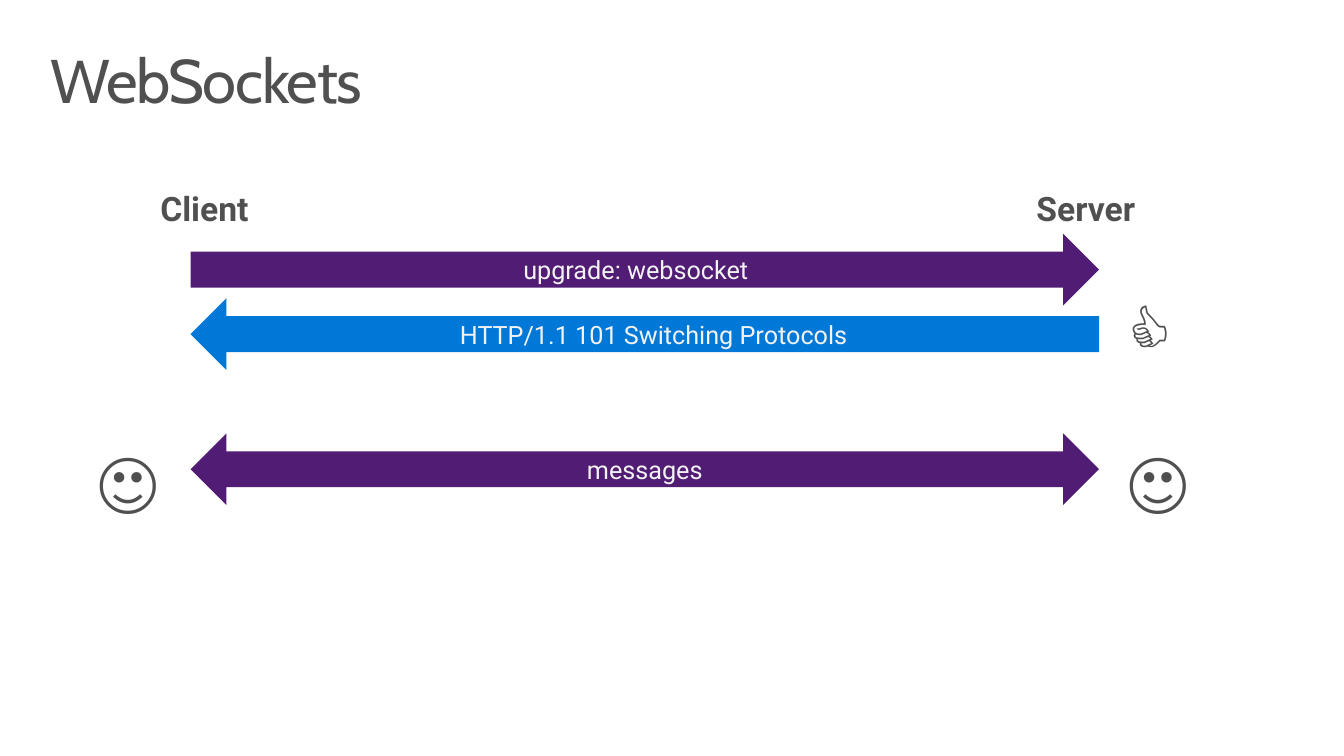
from pptx import Presentation
from pptx.dml.color import RGBColor
from pptx.enum.shapes import MSO_SHAPE
from pptx.enum.text import MSO_ANCHOR, MSO_AUTO_SIZE, PP_ALIGN
from pptx.util import Inches, Pt

COLORS = {
    "ink": "505050",
    "purple": "511C74",
    "blue": "0078D7",
    "pale": "F2F2F2",
}


def paint(name):
    return RGBColor.from_string(COLORS[name])


def add_run(para, text, size, color, font="Roboto", bold=False):
    run = para.add_run()
    run.text = text
    run.font.name = font
    run.font.size = Pt(size)
    run.font.bold = bold
    run.font.color.rgb = paint(color)
    return run


def add_box(slide, left, top, width, height, wrap=False, grow=True):
    box = slide.shapes.add_textbox(
        Inches(left), Inches(top), Inches(width), Inches(height))
    frame = box.text_frame
    frame.margin_left = frame.margin_right = 0
    frame.margin_top = frame.margin_bottom = 0
    frame.word_wrap = wrap
    frame.auto_size = (
        MSO_AUTO_SIZE.SHAPE_TO_FIT_TEXT if grow else MSO_AUTO_SIZE.NONE)
    return frame.paragraphs[0]


def add_title(slide, text):
    para = add_box(slide, 0.5, 0.5, 12.33, 0.69, wrap=True, grow=False)
    para.line_spacing = 0.9
    run = add_run(para, text, 44, "ink", font="Cabin")
    run.font._element.set("spc", "-100")


def add_label(slide, text, left, width):
    para = add_box(slide, left, 1.86, width, 0.4)
    add_run(para, text, 24, "ink", bold=True)


def add_emoji(slide, text, left, top):
    para = add_box(slide, left, top, 0.67, 0.81)
    add_run(para, text, 48, "ink")


def add_arrow(slide, kind, text, top, color):
    arrow = slide.shapes.add_shape(
        kind, Inches(1.89), Inches(top), Inches(9.01), Inches(0.71))
    arrow.shadow.inherit = False
    arrow.fill.solid()
    arrow.fill.fore_color.rgb = paint(color)
    arrow.line.fill.background()
    frame = arrow.text_frame
    frame.word_wrap = True
    frame.vertical_anchor = MSO_ANCHOR.MIDDLE
    para = frame.paragraphs[0]
    para.alignment = PP_ALIGN.CENTER
    add_run(para, text, 18, "pale")


def main():
    deck = Presentation()
    deck.slide_width = Inches(13.33)
    deck.slide_height = Inches(7.5)
    slide = deck.slides.add_slide(deck.slide_layouts[6])

    add_title(slide, "WebSockets")
    add_label(slide, "Client", 1.59, 0.92)
    add_label(slide, "Server", 10.28, 1.01)

    for kind, text, top, color in (
        (MSO_SHAPE.RIGHT_ARROW, "upgrade: websocket", 2.32, "purple"),
        (MSO_SHAPE.LEFT_ARROW, "HTTP/1.1 101 Switching Protocols", 2.96, "blue"),
        (MSO_SHAPE.LEFT_RIGHT_ARROW, "messages", 4.3, "purple"),
    ):
        add_arrow(slide, kind, text, top, color)

    for text, left, top in (
        ("👍", 11.18, 2.86),
        ("🙂", 11.18, 4.35),
        ("🙂", 0.97, 4.35),
    ):
        add_emoji(slide, text, left, top)

    deck.save("out.pptx")


if __name__ == "__main__":
    main()
